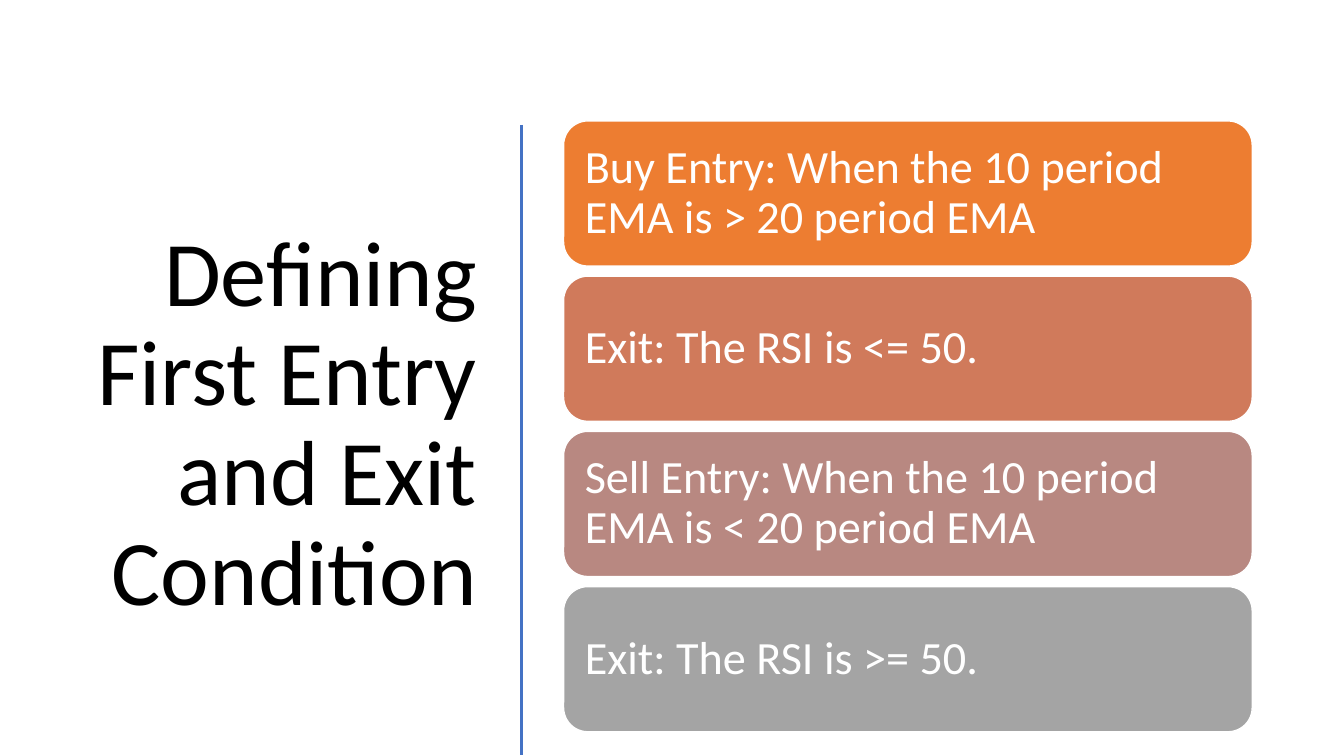
from pptx import Presentation
from pptx.dml.color import RGBColor
from pptx.enum.shapes import MSO_CONNECTOR, MSO_SHAPE
from pptx.enum.text import MSO_ANCHOR, MSO_AUTO_SIZE, PP_ALIGN
from pptx.oxml.ns import qn
from pptx.util import Inches, Pt

LINE, ROUND = MSO_CONNECTOR.STRAIGHT, MSO_SHAPE.ROUNDED_RECTANGLE
MIDDLE, NO_FIT = MSO_ANCHOR.MIDDLE, MSO_AUTO_SIZE.NONE
LEFT, RIGHT = PP_ALIGN.LEFT, PP_ALIGN.RIGHT

TITLE = "Defining First Entry and Exit Condition"
RULES = [
    ("Buy Entry: When the 10 period EMA is > 20 period EMA", "ED7D31"),
    ("Exit: The RSI is <= 50.", "D07A5B"),
    ("Sell Entry: When the 10 period EMA is < 20 period EMA", "B88881"),
    ("Exit: The RSI is >= 50.", "A4A4A4"),
]
CARD_X, CARD_Y, CARD_W, CARD_H, STEP = 5.59, 1.2, 6.83, 1.44, 1.54
TITLE_BOX = {"left": 0.52, "top": 1.17, "width": 4.31, "height": 6.11}
RULE_X, RULE_TOP, RULE_END = 5.17, 1.24, 7.49


def color(code):
    return RGBColor.from_string(code)


def write(shape, text, size, tint, align, pad_x, pad_y):
    frame = shape.text_frame
    frame.text = text
    form = {
        "word_wrap": True, "auto_size": NO_FIT, "vertical_anchor": MIDDLE,
        "margin_left": Inches(pad_x), "margin_right": Inches(pad_x),
        "margin_top": Inches(pad_y), "margin_bottom": Inches(pad_y),
    }
    for name, value in form.items():
        setattr(frame, name, value)
    para = frame.paragraphs[0]
    para.alignment, para.line_spacing = align, 0.9
    font = para.runs[0].font
    font.name, font.size = "Calibri", Pt(size)
    font.color.rgb = color(tint)


def stroke(line, tint, width):
    line.color.rgb = color(tint)
    line.width = Pt(width)


def main():
    deck = Presentation()
    deck.slide_width, deck.slide_height = Inches(13.33), Inches(7.5)
    slide = deck.slides.add_slide(deck.slide_layouts[5])

    title = slide.shapes.title
    for name, value in TITLE_BOX.items():
        setattr(title, name, Inches(value))
    write(title, TITLE, 66, "000000", RIGHT, 0.1, 0.05)

    rule = slide.shapes.add_connector(
        LINE, Inches(RULE_X), Inches(RULE_TOP), Inches(RULE_X), Inches(RULE_END))
    stroke(rule.line, "4472C4", 2)
    props = rule._element.spPr
    props.append(props.makeelement(qn("a:effectLst"), {}))

    cards = slide.shapes.add_group_shape()
    for row, (text, fill) in enumerate(RULES):
        card = cards.shapes.add_shape(
            ROUND, Inches(CARD_X), Inches(CARD_Y + row * STEP),
            Inches(CARD_W), Inches(CARD_H))
        card.shadow.inherit = False
        card.fill.solid()
        card.fill.fore_color.rgb = color(fill)
        stroke(card.line, "FFFFFF", 1)
        write(card, text, 33, "FFFFFF", LEFT, 0.14, 0.14)

    deck.save("out.pptx")


if __name__ == "__main__":
    main()
